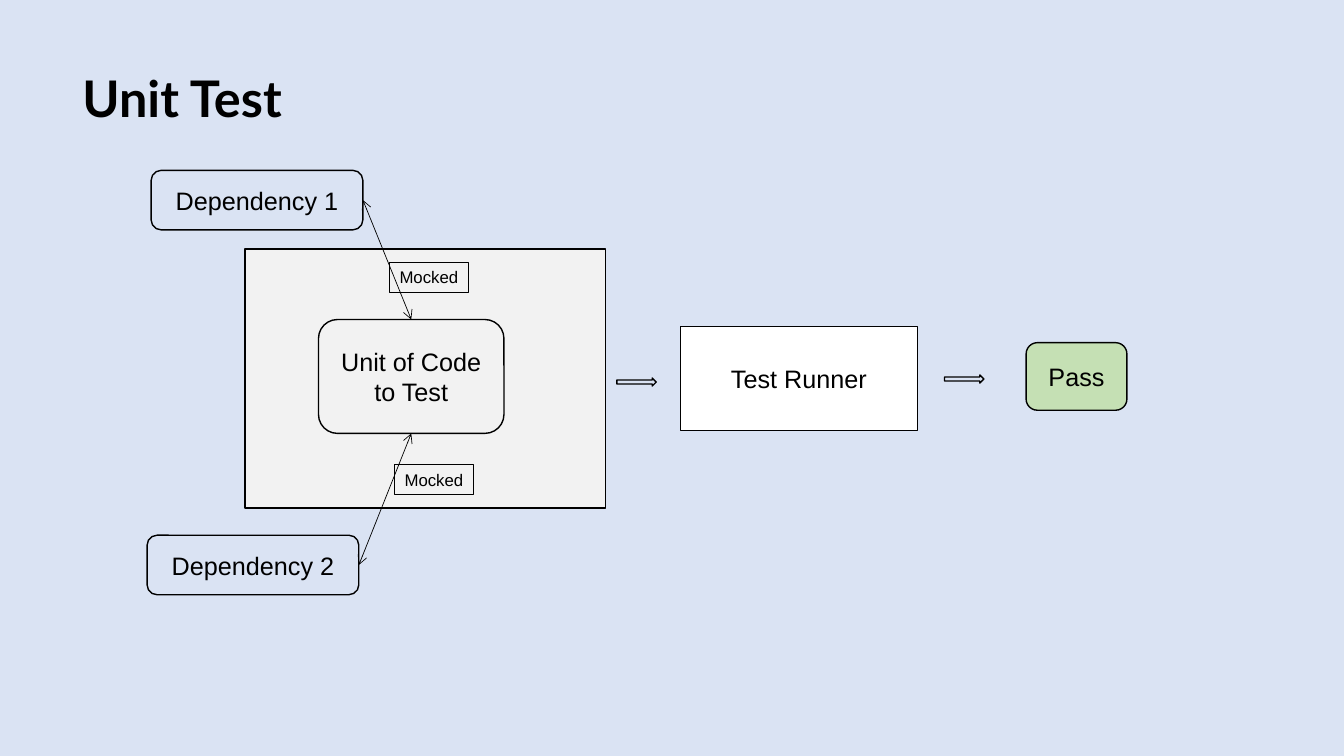
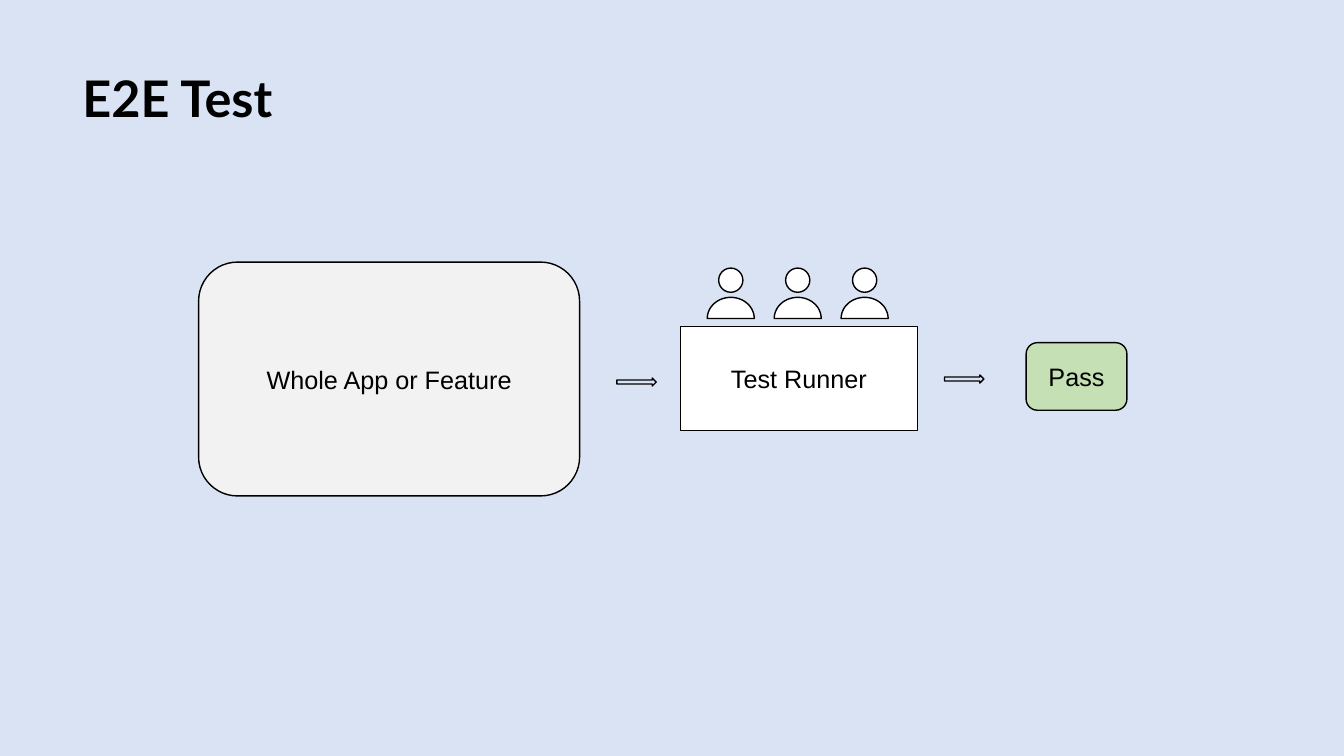
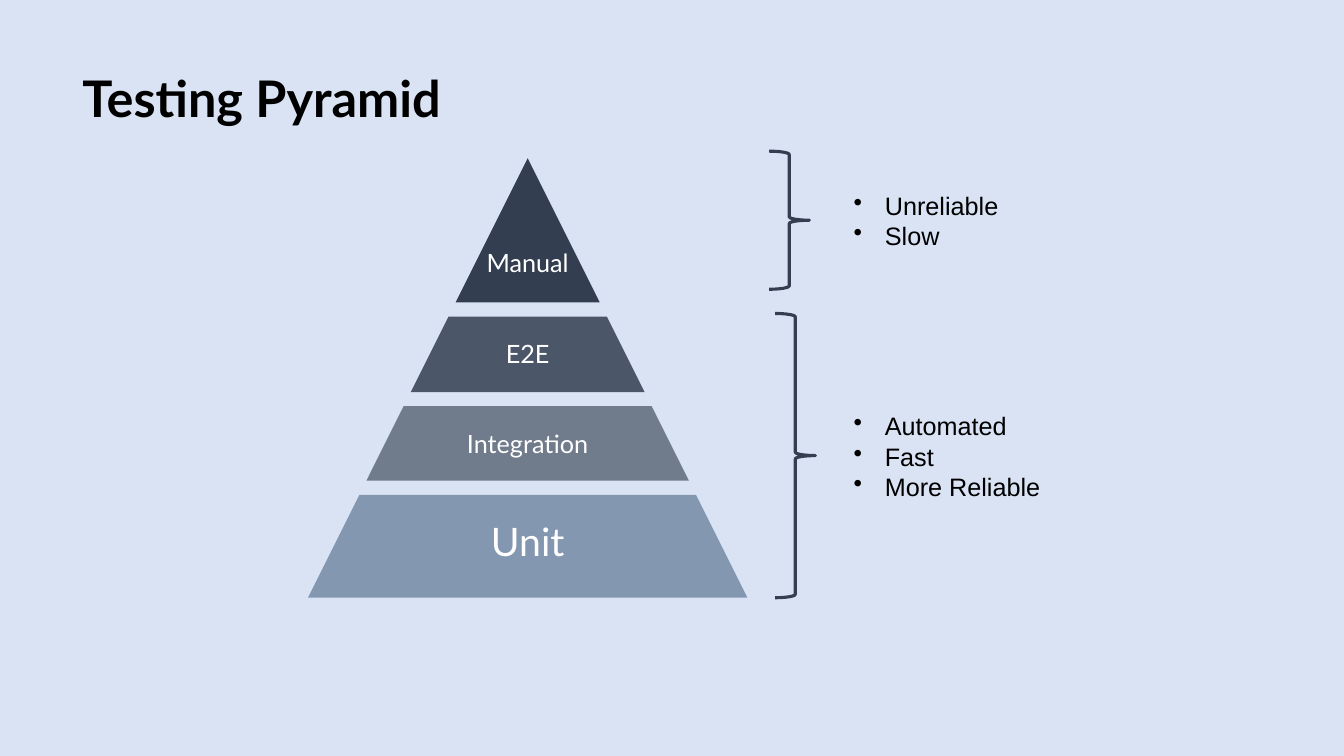
import dataclasses
import math
import typing

import lxml.etree
import pptx
import pptx.dml.color
import pptx.enum.shapes
import pptx.enum.text
import pptx.oxml.ns
import pptx.util

RGBColor = pptx.dml.color.RGBColor
Kind = pptx.enum.shapes.MSO_SHAPE
Align = pptx.enum.text.PP_ALIGN
Anchor = pptx.enum.text.MSO_ANCHOR
qn = pptx.oxml.ns.qn

# Shared look
SKY = RGBColor(0xDA, 0xE3, 0xF3)
BLACK = RGBColor(0, 0, 0)
WHITE = RGBColor(255, 255, 255)
GREY = RGBColor(0xF2, 0xF2, 0xF2)
GREEN = RGBColor(0xC5, 0xE0, 0xB4)
NAVY = RGBColor(0x33, 0x3F, 0x50)
STEEL = RGBColor(0x84, 0x97, 0xB0)
SANS = "Arial"
LATO = "Lato"

# Grid of square cells, ten to the inch
COLS, ROWS = 133.33, 75


def cell(count: float) -> int:
    return round(pptx.util.Inches(count / 10))


@dataclasses.dataclass(frozen=True)
class Area:
    left: float
    top: float
    width: float
    height: float

    def emu(self) -> typing.Iterator[int]:
        return map(cell, (self.left, self.top, self.width, self.height))


@dataclasses.dataclass(frozen=True)
class Font:
    size: float = 18
    name: str = SANS
    color: RGBColor = BLACK
    bold: bool = False


@dataclasses.dataclass(frozen=True)
class Box:
    area: Area
    kind: Kind = Kind.RECTANGLE
    text: str = ""
    fill: RGBColor | None = None
    line: RGBColor = BLACK
    weight: float = 1
    font: Font = Font()


@dataclasses.dataclass(frozen=True)
class Tier:
    text: str
    top: float
    base: float
    mid: float
    fill: RGBColor
    alpha: int = 100
    size: float = 18


@dataclasses.dataclass(frozen=True)
class Note:
    brace: Area
    area: Area
    lines: tuple[str, ...]


TITLE = Font(36, LATO, bold=True)
SMALL = Font(12)

# Parts seen on both test slides
FLOW = (
    Box(Area(67.5, 32.4, 23.5, 10.3), text="Test Runner", fill=WHITE),
    Box(Area(101.8, 34, 10, 6.7), Kind.FLOWCHART_ALTERNATE_PROCESS, "Pass", GREEN),
    Box(Area(61.2, 37.5, 3.9, 0.8), Kind.RIGHT_ARROW),
    Box(Area(93.7, 37.2, 3.9, 0.8), Kind.RIGHT_ARROW),
)

# Unit test
FRAME = Box(Area(24.3, 24.7, 35.8, 25.7), fill=GREY)
UNIT = Box(Area(31.6, 31.7, 18.4, 11.3), Kind.ROUNDED_RECTANGLE, "Unit of Code to Test")
DEPS = (
    Box(Area(15, 16.9, 21, 5.9), Kind.ROUNDED_RECTANGLE, "Dependency 1"),
    Box(Area(14.6, 53.1, 21, 5.9), Kind.ROUNDED_RECTANGLE, "Dependency 2"),
)
MOCKS = tuple(
    Box(Area(left, top, 7.9, 3), text="Mocked", weight=0.75, font=SMALL)
    for left, top in ((38.6, 26), (39.1, 46.1))
)
TOP, BOTTOM, RIGHT = 0, 2, 3  # connection sites

# End-to-end test
APP = Box(Area(19.7, 26, 37.8, 23.2), Kind.ROUNDED_RECTANGLE, "Whole App or Feature", GREY)
USERS, FIRST, STEP = 3, 72.5, 6.64

# Pyramid
APEX, PEAK, SLOPE = 52.35, 15.7, 0.5
TIERS = (
    Tier("Manual", 15.7, 30, 26, NAVY),
    Tier("E2E", 31.4, 38.9, 35.1, NAVY, 85),
    Tier("Integration", 40.3, 47.7, 44, NAVY, 63),
    Tier("Unit", 49.1, 59.3, 53.65, STEEL, size=28),
)
NOTES = (
    Note(Area(76.3, 15, 4, 13.7), Area(83.7, 18.3, 20.5, 7.1), ("Unreliable", "Slow")),
    Note(Area(76.9, 31.1, 4, 28.2), Area(83.7, 40.2, 20.5, 10.1),
         ("Automated", "Fast", "More Reliable")),
)


def write(shape, lines: typing.Sequence[str], font: Font, align: Align = Align.LEFT) -> None:
    frame = shape.text_frame
    frame.word_wrap = True
    frame.vertical_anchor = Anchor.MIDDLE
    frame.text = "\n".join(lines)
    for par in frame.paragraphs:
        par.alignment = align
        par.font.size = pptx.util.Pt(font.size)
        par.font.name = font.name
        par.font.bold = font.bold
        par.font.color.rgb = font.color


def paint(shape, fill: RGBColor | None, line: RGBColor | None, weight: float = 1) -> None:
    shape.shadow.inherit = False
    if fill is None:
        shape.fill.background()
    else:
        shape.fill.solid()
        shape.fill.fore_color.rgb = fill
    if line is None:
        shape.line.fill.background()
    else:
        shape.line.color.rgb = line
        shape.line.width = pptx.util.Pt(weight)


def draw(shapes, box: Box):
    shape = shapes.add_shape(box.kind, *box.area.emu())
    paint(shape, box.fill, box.line, box.weight)
    if box.text:
        write(shape, [box.text], box.font, Align.CENTER)
    return shape


def trace(shapes, points: typing.Sequence[tuple[float, float]],
          fill: RGBColor, line: RGBColor | None = None):
    dots = [(cell(x), cell(y)) for x, y in points]
    pen = shapes.build_freeform(*dots[0])
    pen.add_line_segments(dots[1:], close=True)
    shape = pen.convert_to_shape()
    paint(shape, fill, line)
    return shape


def label(slide, area: Area, lines: typing.Sequence[str], font: Font,
          align: Align = Align.LEFT):
    shape = slide.shapes.add_textbox(*area.emu())
    write(shape, lines, font, align)
    return shape


def start(deck, title: str):
    slide = deck.slides.add_slide(deck.slide_layouts[6])
    head = label(slide, Area(7.2, 2.8, 115, 14.5), [title], TITLE)
    head.text_frame.paragraphs[0].line_spacing = 0.9
    return slide


def link(slide, tail, head, site: int) -> None:
    line = slide.shapes.add_connector(pptx.enum.shapes.MSO_CONNECTOR.STRAIGHT, 0, 0, 0, 0)
    line.begin_connect(tail, RIGHT)
    line.end_connect(head, site)
    line.line.color.rgb = BLACK
    line.line.width = pptx.util.Pt(0.5)
    props = line.line._get_or_add_ln()
    for end in ("a:headEnd", "a:tailEnd"):
        lxml.etree.SubElement(props, qn(end), type="arrow")
    lxml.etree.SubElement(line._element.spPr, qn("a:effectLst"))


def person(slide, mid: float) -> None:
    group = slide.shapes.add_group_shape().shapes
    turns = [math.pi * step / 32 for step in range(33)]
    body = [(mid - 2.33 * math.cos(turn), 31.6 - 2.1 * math.sin(turn)) for turn in turns]
    trace(group, body, WHITE, BLACK)
    draw(group, Box(Area(mid - 1.2, 26.6, 2.4, 2.4), Kind.OVAL, fill=WHITE))


def layer(slide, tier: Tier) -> None:
    high, low = (SLOPE * (edge - PEAK) for edge in (tier.top, tier.base))
    shape = trace(slide.shapes, [
        (APEX - low, tier.base), (APEX - high, tier.top),
        (APEX + high, tier.top), (APEX + low, tier.base),
    ], tier.fill)
    if tier.alpha < 100:
        tint = shape._element.spPr.find(qn("a:solidFill"))[0]
        lxml.etree.SubElement(tint, qn("a:alpha"), val=str(tier.alpha * 1000))
    label(slide, Area(APEX - 10, tier.mid - 3, 20, 6), [tier.text],
          Font(tier.size, LATO, WHITE), Align.CENTER)


def remark(slide, note: Note) -> None:
    draw(slide.shapes, Box(note.brace, Kind.RIGHT_BRACE, line=NAVY, weight=2.25))
    shape = label(slide, note.area, note.lines, Font())
    for par in shape.text_frame.paragraphs:
        props = par._p.get_or_add_pPr()
        props.set("marL", str(cell(3.1)))
        props.set("indent", str(-cell(3.1)))
        bullet = lxml.etree.Element(qn("a:buChar"), char="•")
        props.find(qn("a:defRPr")).addprevious(bullet)


def unit(deck) -> None:
    slide = start(deck, "Unit Test")
    draw(slide.shapes, FRAME)
    code = draw(slide.shapes, UNIT)
    for dep, site in zip(DEPS, (TOP, BOTTOM)):
        link(slide, draw(slide.shapes, dep), code, site)
    for box in MOCKS + FLOW:
        draw(slide.shapes, box)


def whole(deck) -> None:
    slide = start(deck, "E2E Test")
    for box in (APP, *FLOW):
        draw(slide.shapes, box)
    for place in range(USERS):
        person(slide, FIRST + place * STEP)


def tower(deck) -> None:
    slide = start(deck, "Testing Pyramid")
    for tier in TIERS:
        layer(slide, tier)
    for note in NOTES:
        remark(slide, note)


def main() -> None:
    deck = pptx.Presentation()
    deck.slide_width, deck.slide_height = cell(COLS), cell(ROWS)
    back = deck.slide_master.background.fill
    back.solid()
    back.fore_color.rgb = SKY
    for build in (unit, whole, tower):
        build(deck)
    deck.save("out.pptx")


if __name__ == "__main__":
    main()
